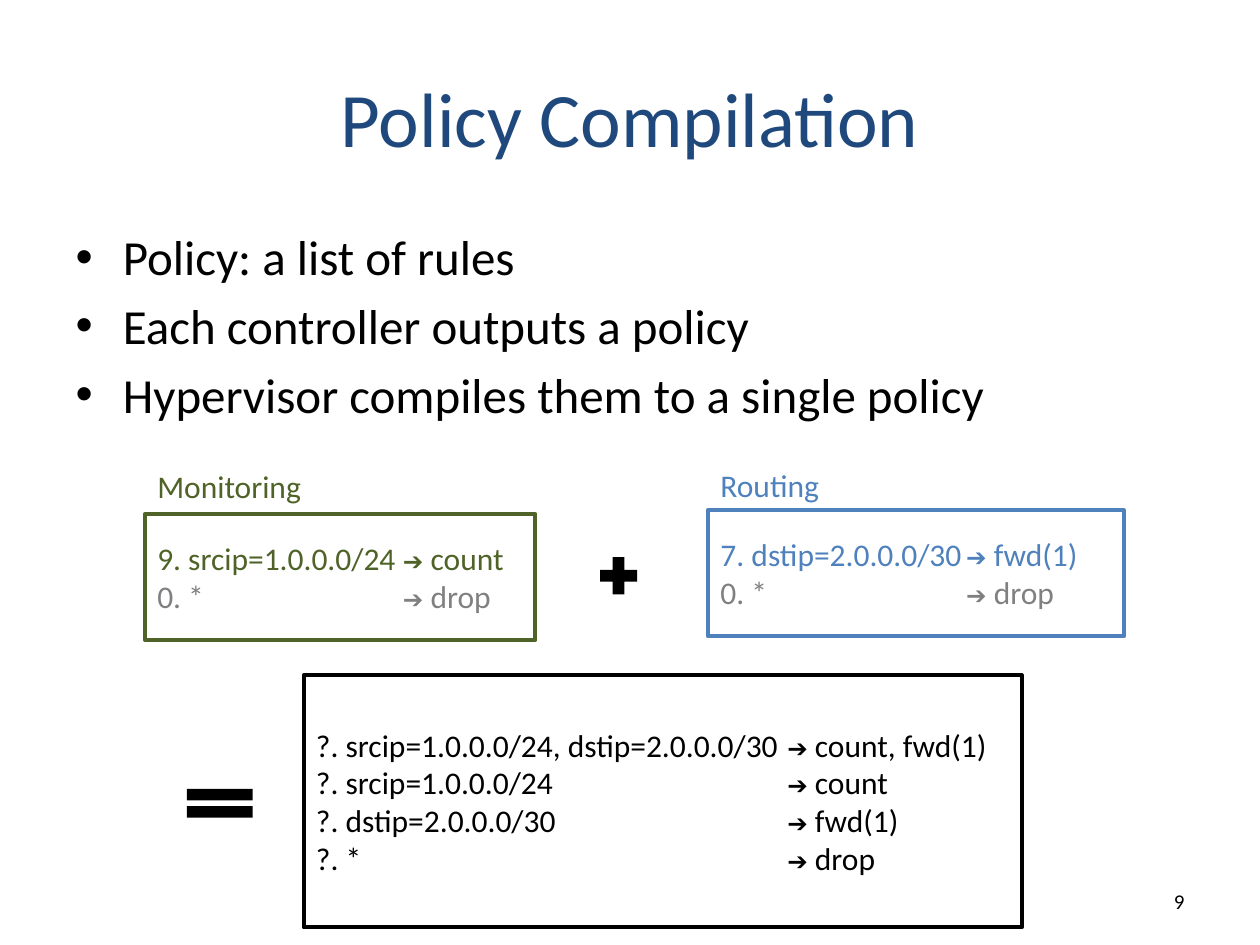
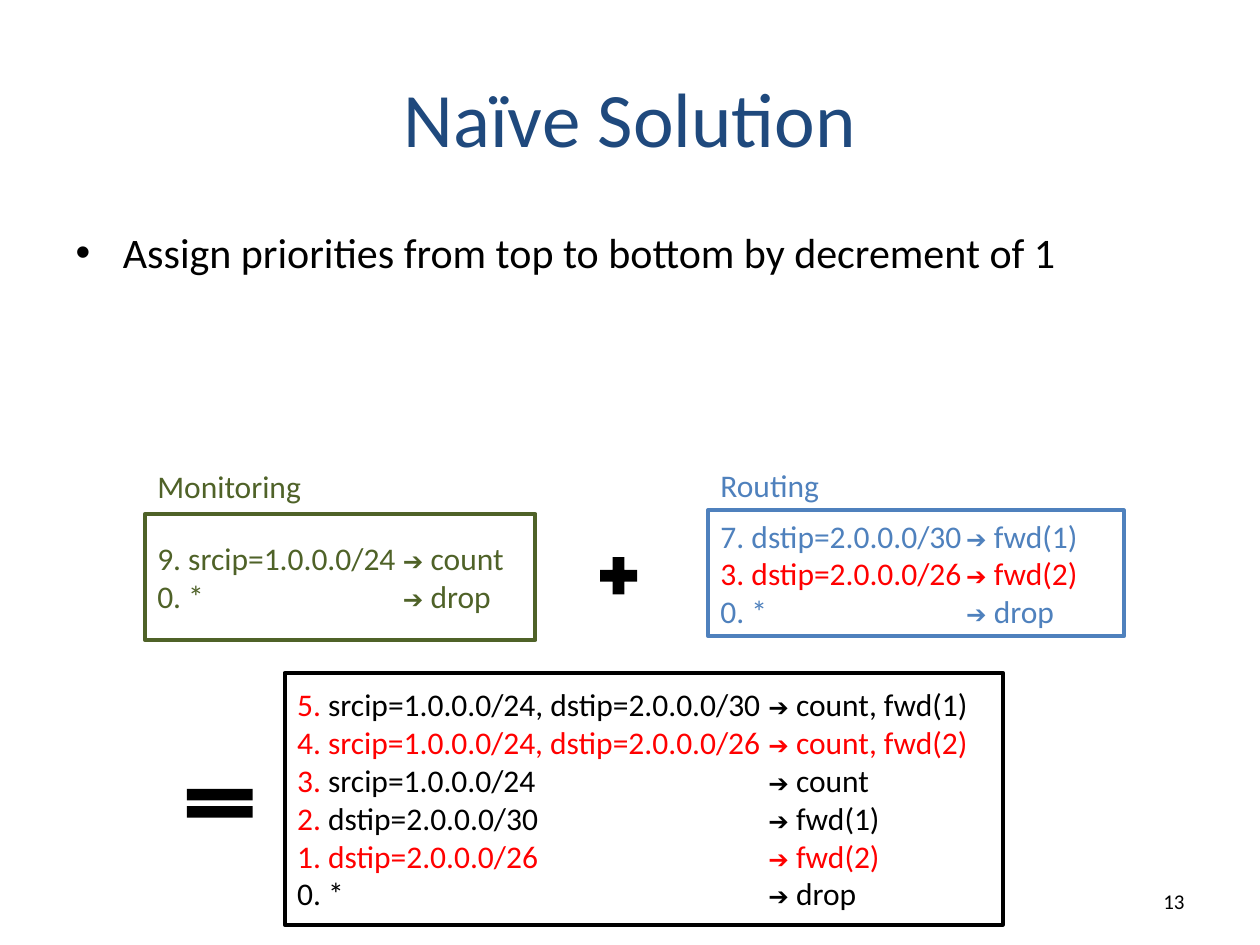
"""Builds two slides on compiling controller policies into one rule list."""
from lxml import etree
from pptx import Presentation
from pptx.dml.color import RGBColor
from pptx.enum import shapes, text
from pptx.oxml.ns import qn
from pptx.util import Inches, Pt

BLACK = RGBColor(0x00, 0x00, 0x00)
WHITE = RGBColor(0xFF, 0xFF, 0xFF)
NAVY = RGBColor(0x1F, 0x49, 0x7D)
GREEN = RGBColor(0x4F, 0x62, 0x28)
BLUE = RGBColor(0x4F, 0x81, 0xBD)
GREY = RGBColor(0x80, 0x80, 0x80)
RED = RGBColor(0xFF, 0x00, 0x00)

SRC, DST30, DST26 = "srcip=1.0.0.0/24", "dstip=2.0.0.0/30", "dstip=2.0.0.0/26"

# A rule is (priority, match, action, priority colour, rule colour).
SLIDES = [
    {
        "title": "Policy Compilation",
        "number": "9",
        "bullets": ["Policy: a list of rules",
                    "Each controller outputs a policy",
                    "Hypervisor compiles them to a single policy"],
        "bullet_size": 28,
        "monitoring": [("9", SRC, "count", GREEN, GREEN),
                       ("0", "*", "drop", GREY, GREY)],
        "routing": [("7", DST30, "fwd(1)", BLUE, BLUE),
                    ("0", "*", "drop", GREY, GREY)],
        "compiled": [("?", f"{SRC}, {DST30}", "count, fwd(1)", BLACK, BLACK),
                     ("?", SRC, "count", BLACK, BLACK),
                     ("?", DST30, "fwd(1)", BLACK, BLACK),
                     ("?", "*", "drop", BLACK, BLACK)],
        "compiled_at": (2.41, 5.36),
    },
    {
        "title": "Naïve Solution",
        "number": "13",
        "bullets": ["Assign priorities from top to bottom by decrement of 1"],
        "bullet_size": 24,
        "monitoring": [("9", SRC, "count", GREEN, GREEN),
                       ("0", "*", "drop", GREEN, GREEN)],
        "routing": [("7", DST30, "fwd(1)", BLUE, BLUE),
                    ("3", DST26, "fwd(2)", RED, RED),
                    ("0", "*", "drop", BLUE, BLUE)],
        "compiled": [("5", f"{SRC}, {DST30}", "count, fwd(1)", RED, BLACK),
                     ("4", f"{SRC}, {DST26}", "count, fwd(2)", RED, RED),
                     ("3", SRC, "count", RED, BLACK),
                     ("2", DST30, "fwd(1)", RED, BLACK),
                     ("1", DST26, "fwd(2)", RED, RED),
                     ("0", "*", "drop", BLACK, BLACK)],
        "compiled_at": (2.26, 5.34),
    },
]

# Key, label, colour, box (left, top, width, height), label top.
CONTROLLERS = [
    ("monitoring", "Monitoring", GREEN, (1.15, 4.08, 3.1, 1), 3.66),
    ("routing", "Routing", BLUE, (5.62, 4.05, 3.3, 1), 3.65),
]
OPERATORS = [
    (shapes.MSO_SHAPE.MATH_PLUS, (4.71, 4.37, 0.4, 0.4)),
    (shapes.MSO_SHAPE.MATH_EQUAL, (1.39, 6.18, 0.71, 0.39)),
]
COMPILED_SIZE = (5.7, 2)
NUMBER_BOX = (7.17, 6.95, 2.33, 0.4)
CONTROLLER_TAB, COMPILED_TAB = 1.95, 3.74


def inches(box):
    """Convert a box in inches to lengths."""
    return [Inches(v) for v in box]


def write(p, words, size=18, color=BLACK, font="Calibri"):
    """Append a formatted run to a paragraph."""
    r = p.add_run()
    r.text = words
    r.font.size, r.font.name = Pt(size), font
    r.font.color.rgb = color


def paragraphs(tf, count):
    """Return the first paragraph of a frame and as many more as needed."""
    return [tf.paragraphs[0]] + [tf.add_paragraph() for _ in range(count - 1)]


def add_label(parent, box, words, align=text.PP_ALIGN.LEFT, **fmt):
    """Add a one-line text box."""
    tf = parent.add_textbox(*inches(box)).text_frame
    tf.word_wrap = True
    tf.vertical_anchor = text.MSO_ANCHOR.MIDDLE
    tf.paragraphs[0].alignment = align
    write(tf.paragraphs[0], words, **fmt)


def add_figure(parent, kind, box, fill):
    """Add a flat filled shape without outline."""
    sp = parent.add_shape(kind, *inches(box))
    sp.shadow.inherit = False
    sp.fill.solid()
    sp.fill.fore_color.rgb = fill
    sp.line.fill.background()
    return sp


def add_tab(p, position):
    """Set a left tab stop on a paragraph."""
    tabs = etree.SubElement(p._p.get_or_add_pPr(), qn("a:tabLst"))
    etree.SubElement(tabs, qn("a:tab"), pos=str(Inches(position)), algn="l")


def add_policy(parent, box, rules, line, tab):
    """Add a framed list of rules with the arrows aligned on a tab."""
    sp = add_figure(parent, shapes.MSO_SHAPE.RECTANGLE, box, WHITE)
    sp.line.color.rgb, sp.line.width = line, Pt(2.25)
    tf = sp.text_frame
    tf.word_wrap = True
    tf.vertical_anchor = text.MSO_ANCHOR.MIDDLE
    for p, rule in zip(paragraphs(tf, len(rules)), rules):
        priority, match, action, priority_color, color = rule
        p.alignment = text.PP_ALIGN.LEFT
        add_tab(p, tab)
        write(p, f"{priority}. ", color=priority_color)
        write(p, f"{match}\t", color=color)
        write(p, "➔", size=14, color=color, font="Arial")
        write(p, f" {action}", color=color)


def add_slide(prs, content):
    """Add one slide with bullets, two policies and the compiled policy."""
    s = prs.slides.add_slide(prs.slide_layouts[1])
    title, body = s.placeholders
    for sp, box in ((title, (0.5, 0.3, 9, 1.25)), (body, (0.5, 1.75, 9, 4.95))):
        sp.left, sp.top, sp.width, sp.height = inches(box)
    write(title.text_frame.paragraphs[0], content["title"], size=44, color=NAVY)
    bullets = content["bullets"]
    for p, words in zip(paragraphs(body.text_frame, len(bullets)), bullets):
        write(p, words, size=content["bullet_size"])
    add_label(s.shapes, NUMBER_BOX, content["number"],
              align=text.PP_ALIGN.RIGHT, size=12)

    for kind, box in OPERATORS:
        add_figure(s.shapes, kind, box, BLACK)
    for key, name, color, box, label_top in CONTROLLERS:
        group = s.shapes.add_group_shape().shapes
        add_policy(group, box, content[key], color, CONTROLLER_TAB)
        add_label(group, (box[0], label_top, 1.6, 0.4), name, color=color)
    add_policy(s.shapes, content["compiled_at"] + COMPILED_SIZE,
               content["compiled"], BLACK, COMPILED_TAB)


def main():
    """Build and save the presentation."""
    prs = Presentation()
    prs.slide_width, prs.slide_height = Inches(10), Inches(7.5)
    for content in SLIDES:
        add_slide(prs, content)
    prs.save("out.pptx")


if __name__ == "__main__":
    main()
